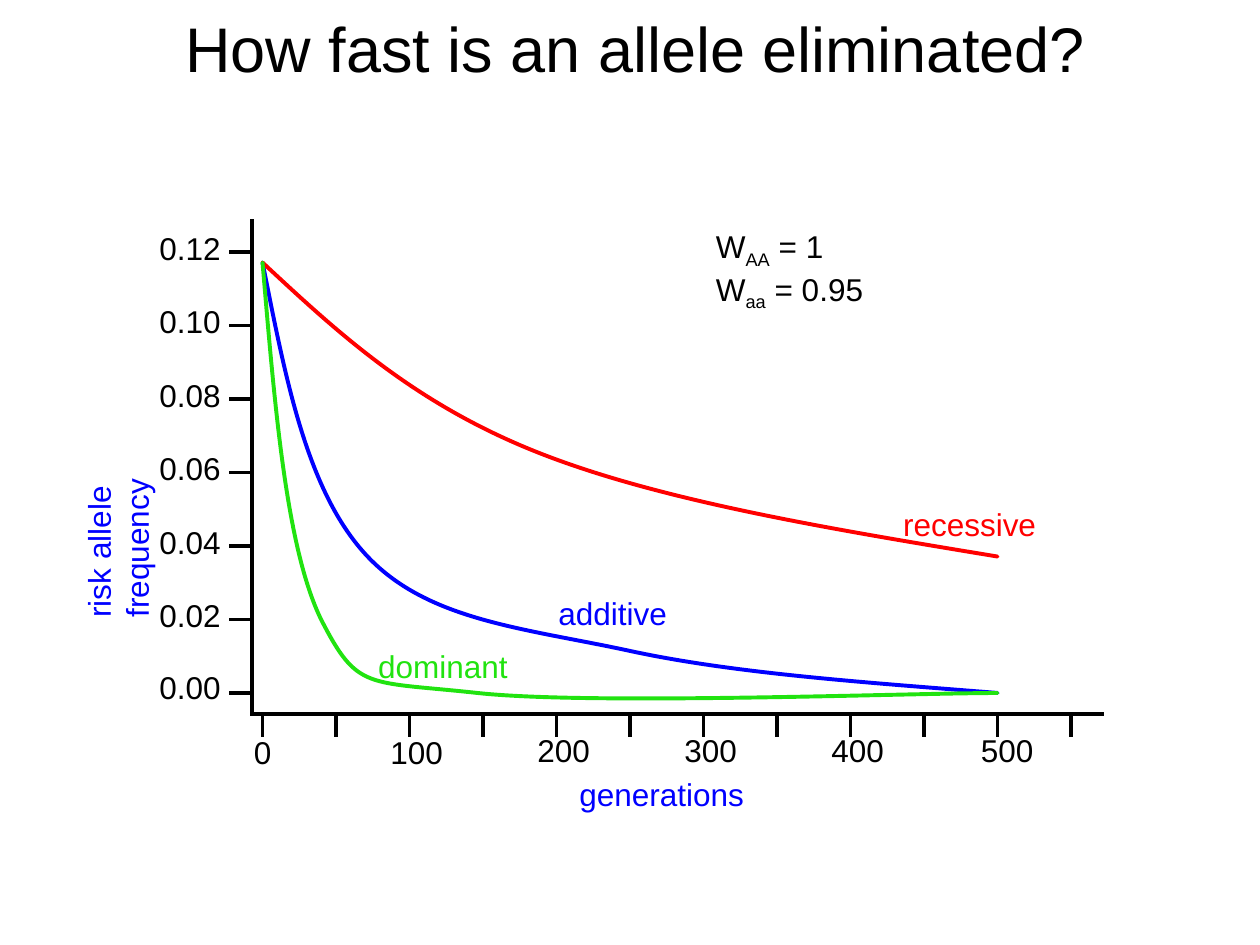
from pptx import Presentation
from pptx.dml.color import RGBColor
from pptx.enum.shapes import MSO_CONNECTOR
from pptx.enum.text import MSO_ANCHOR, MSO_AUTO_SIZE, PP_ALIGN
from pptx.oxml.ns import qn
from pptx.util import Pt
from lxml import etree

THEME = {
    "font": "Arial", "title": 36, "body": 18, "line": 2.25,
    "black": RGBColor(0, 0, 0), "blue": RGBColor(0, 0, 255),
    "red": RGBColor(255, 0, 0), "green": RGBColor(0x21, 0xE3, 0x10),
}

prs = Presentation()
prs.slide_width, prs.slide_height = Pt(720), Pt(540)
s = prs.slides.add_slide(prs.slide_layouts[6])


def add_text(text, x, y, w, h=29, color="black", size="body", align=PP_ALIGN.LEFT,
             anchor=MSO_ANCHOR.TOP, wrap=False):
    """Lines split on newline; a part between underscores is subscript."""
    sp = s.shapes.add_textbox(Pt(x), Pt(y), Pt(w), Pt(h))
    tf = sp.text_frame
    tf.word_wrap = wrap
    tf.auto_size = MSO_AUTO_SIZE.NONE if wrap else MSO_AUTO_SIZE.SHAPE_TO_FIT_TEXT
    tf.vertical_anchor = anchor
    for i, line in enumerate(text.split("\n")):
        p = tf.paragraphs[0] if i == 0 else tf.add_paragraph()
        p.alignment = align
        for j, part in enumerate(line.split("_")):
            r = p.add_run()
            r.text = part
            r.font.name, r.font.size = THEME["font"], Pt(THEME[size])
            r.font.color.rgb = THEME[color]
            if j % 2:
                r._r.get_or_add_rPr().set("baseline", "-25000")
    return sp


def add_line(x1, y1, x2, y2):
    ln = s.shapes.add_connector(MSO_CONNECTOR.STRAIGHT, Pt(x1), Pt(y1), Pt(x2), Pt(y2))
    ln.line.color.rgb = THEME["black"]
    ln.line.width = Pt(THEME["line"])
    props = ln._element.spPr
    props.find(qn("a:ln")).set("cap", "sq")
    etree.SubElement(props, qn("a:effectLst"))


# Title and fitness values
add_text("How fast is an allele eliminated?", 90, 0, 546, 54, size="title",
         align=PP_ALIGN.CENTER, anchor=MSO_ANCHOR.MIDDLE, wrap=True)
add_text("W_AA_ = 1\nW_aa_ = 0.95", 402, 126, 100, 50)

# Axes
AXIS_X, AXIS_Y, TICK, STEP = 144, 408, 12, 42
ORIGIN_X, ORIGIN_Y = 150, 396
add_line(AXIS_X, 126, AXIS_X, AXIS_Y)
add_line(AXIS_X, AXIS_Y, 630, AXIS_Y)

# Frequency ticks and labels
for i in range(7):
    y = ORIGIN_Y - STEP * i
    add_line(AXIS_X - TICK, y, AXIS_X, y)
    add_text(f"{0.02 * i:.2f}", 84, y - (16.7 if i else 18), 50)

# Generation ticks and labels
for i in range(12):
    x = ORIGIN_X + STEP * i
    add_line(x, AXIS_Y, x, AXIS_Y + TICK)
for generation, x, y in [(0, 138, 415.5), (100, 216, 415.5), (200, 300, 414),
                         (300, 384, 414), (400, 468, 414), (500, 553.5, 414)]:
    add_text(str(generation), x, y, 45 if generation else 24.5)

# Axis titles
add_text("generations", 324, 439.5, 109, color="blue")
sp = add_text("risk allele frequency", 40, 210, 54, 150, color="blue",
              anchor=MSO_ANCHOR.MIDDLE, wrap=True)
tf = sp.text_frame
tf.margin_left = tf.margin_right = tf.margin_top = tf.margin_bottom = Pt(3.6)
tf._txBody.bodyPr.set("vert", "vert270")

# Curves: Bezier segments of two controls and an end, all from the same start
START = (150, 150)
CURVES = [
    ("additive", "blue", (312, 336, 78), [
        (163, 215), (175, 281), (210, 318),
        (245, 355), (300, 359), (360, 372),
        (420, 385), (495, 390), (570, 396)]),
    ("recessive", "red", (509, 285, 91), [
        (193, 190), (236, 230), (306, 258),
        (376, 286), (473, 302), (570, 318)]),
    ("dominant", "green", (209, 366, 89), [
        (157, 232), (163.5, 313), (183.5, 354),
        (204.5, 395), (209, 389), (273, 396),
        (338, 403), (520.5, 396), (570, 396)]),
]
for name, color, label, points in CURVES:
    builder = s.shapes.build_freeform(Pt(START[0]), Pt(START[1]))
    builder.add_line_segments([(Pt(x), Pt(y)) for x, y in points], close=False)
    sp = builder.convert_to_shape()
    sp.shadow.inherit = False
    sp.fill.background()
    sp.line.color.rgb = THEME[color]
    sp.line.width = Pt(THEME["line"])
    props = sp._element.spPr
    props.find(qn("a:ln")).set("cap", "rnd")
    # Turn each three line steps into one Bezier step
    outline = next(props.iter(qn("a:path")))
    steps = outline.findall(qn("a:lnTo"))
    for k in range(0, len(steps), 3):
        bezier = etree.SubElement(outline, qn("a:cubicBezTo"))
        for step in steps[k:k + 3]:
            bezier.append(step[0])
            outline.remove(step)
    add_text(name, *label, color=color)

prs.save("out.pptx")
